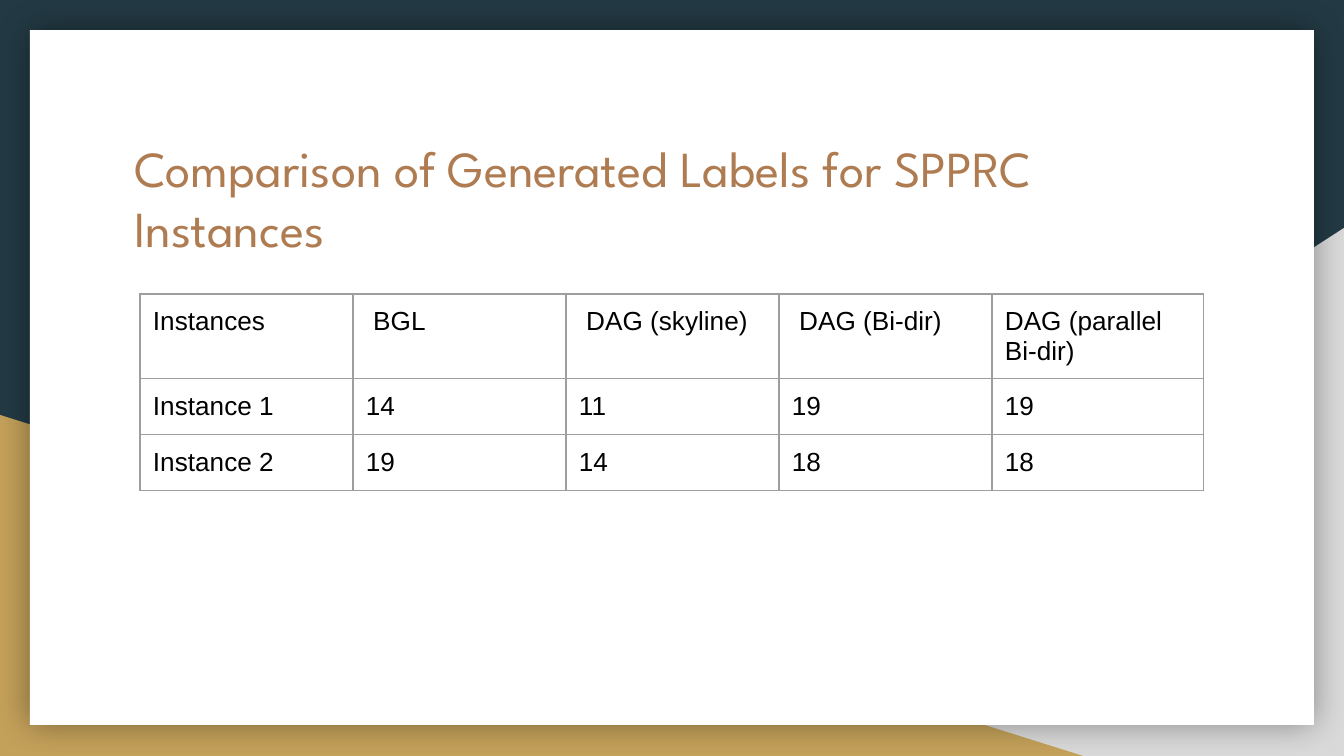
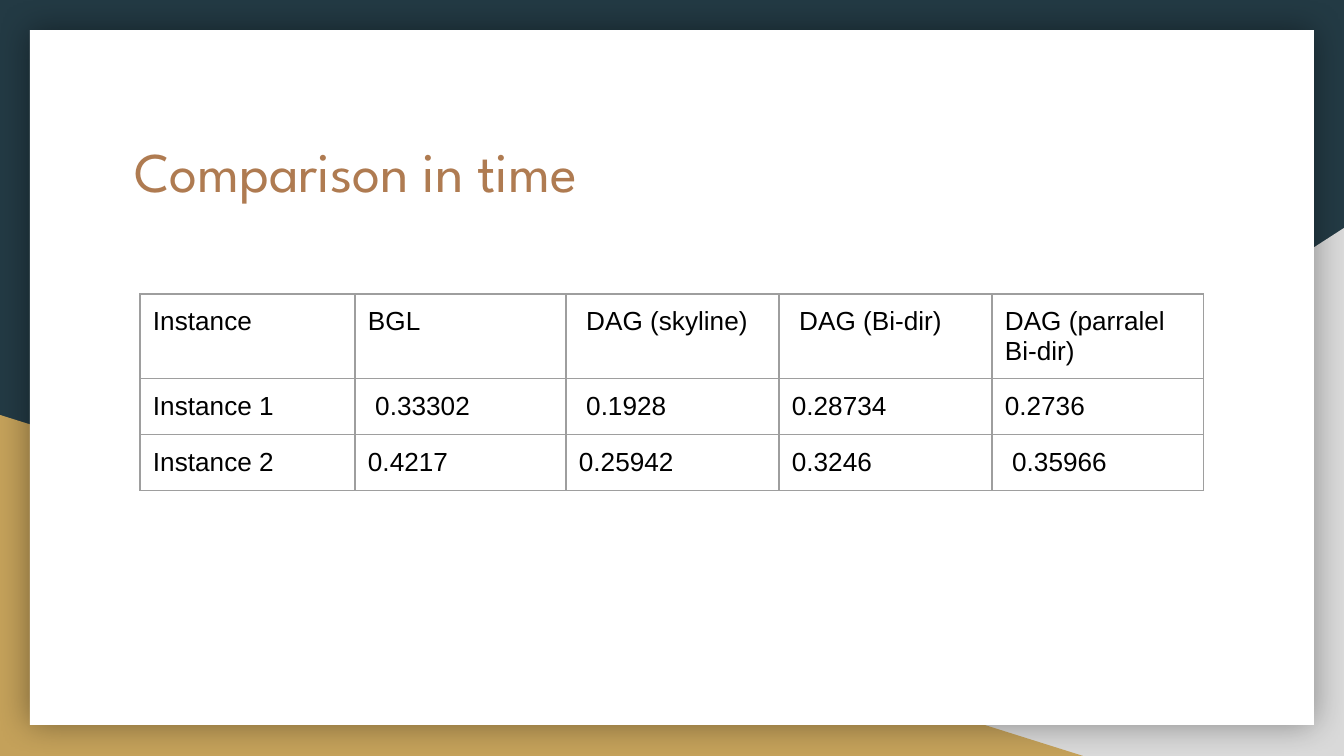
from lxml.etree import SubElement
from pptx import Presentation
from pptx.dml.color import RGBColor
from pptx.enum.shapes import MSO_SHAPE as Preset
from pptx.enum.text import MSO_ANCHOR as Anchor, MSO_AUTO_SIZE as AutoSize, PP_ALIGN as Align
from pptx.oxml import parse_xml
from pptx.oxml.ns import nsdecls, qn
from pptx.util import Emu, Pt

NAVY, GOLD, GREY, WHITE = "233A44", "C4A15A", "D9D9D9", "FFFFFF"
BROWN, BLACK, BORDER = "AF7B51", "000000", "9E9E9E"
SCALE = 914400 / 134.4
INSET = 13


def px(length):
    return Emu(round(length * SCALE))


def color(hex_string):
    return RGBColor.from_string(hex_string)


presentation = Presentation()
presentation.slide_width, presentation.slide_height = px(1344), px(756)
layout = presentation.slide_layouts[5]
layout.background.fill.solid()
layout.background.fill.fore_color.rgb = color(NAVY)

contents = [
    {
        "title": "Comparison of Generated Labels for SPPRC Instances",
        "size": 27,
        "columns": [213, 213, 213, 213, 212],
        "rows": [
            ["Instances", " BGL", " DAG (skyline)", " DAG (Bi-dir)", "DAG (parallel Bi-dir)"],
            ["Instance 1", "14", "11", "19", "19"],
            ["Instance 2", "19", "14", "18", "18"],
        ],
    },
    {
        "title": "Comparison in time",
        "size": 30,
        "columns": [215, 211, 213, 213, 212],
        "rows": [
            ["Instance", "BGL", " DAG (skyline)", " DAG (Bi-dir)", "DAG (parralel Bi-dir)"],
            ["Instance 1", " 0.33302", " 0.1928", "0.28734", "0.2736"],
            ["Instance 2", "0.4217", "0.25942", "0.3246", " 0.35966"],
        ],
    },
]
slides = [presentation.slides.add_slide(layout) for content in contents]

backdrop = [
    (Preset.RIGHT_TRIANGLE, 527, 228, 817, 528, GREY),
    (Preset.RIGHT_TRIANGLE, 0, 415, 1083, 341, GOLD),
    (Preset.RECTANGLE, 30, 30, 1284, 695, WHITE),
]
for index, (preset, left, top, width, height, fill) in enumerate(backdrop):
    shape = slides[0].shapes.add_shape(preset, px(left), px(top), px(width), px(height))
    shape.shadow.inherit = False
    shape.fill.solid()
    shape.fill.fore_color.rgb = color(fill)
    shape.line.fill.background()
    if fill == GREY:
        shape.element.spPr.find(qn("a:xfrm")).set("flipH", "1")
    if fill == WHITE:
        effects = shape.element.spPr.find(qn("a:effectLst"))
        shadow = SubElement(effects, qn("a:outerShdw"), blurRad=str(Pt(18)), dist="0",
                            dir="0", algn="ctr", rotWithShape="0")
        shade = SubElement(shadow, qn("a:srgbClr"), val=BLACK)
        SubElement(shade, qn("a:alpha"), val="40000")
    layout.shapes.element.insert(2 + index, shape.element)

title_box = {"left": px(121), "top": px(124), "width": px(1103), "height": px(140)}
margins = {"margin_" + side: px(INSET) for side in ("left", "right", "top", "bottom")}
title_frame = {"word_wrap": True, "auto_size": AutoSize.NONE, "vertical_anchor": Anchor.TOP, **margins}
cell_format = {"vertical_anchor": Anchor.TOP, **margins}

for slide, content in zip(slides, contents):
    title = slide.shapes.title
    for name, value in title_box.items():
        setattr(title, name, value)
    for name, value in title_frame.items():
        setattr(title.text_frame, name, value)
    title.text_frame.text = content["title"]
    paragraph = title.text_frame.paragraphs[0]
    paragraph.alignment = Align.LEFT
    font = paragraph.runs[0].font
    for name, value in {"name": "League Spartan", "size": Pt(content["size"]), "bold": False}.items():
        setattr(font, name, value)
    font.color.rgb = color(BROWN)

    rows, columns = content["rows"], content["columns"]
    table = slide.shapes.add_table(len(rows), len(columns), px(140), px(294),
                                   px(sum(columns)), px(56 * len(rows))).table
    table.first_row = table.horz_banding = False
    for column, width in zip(table.columns, columns):
        column.width = px(width)
    for row, texts in zip(table.rows, rows):
        row.height = px(56)
        for cell, text in zip(row.cells, texts):
            cell.text = text
            for name, value in cell_format.items():
                setattr(cell, name, value)
            cell.fill.background()
            font = cell.text_frame.paragraphs[0].runs[0].font
            for name, value in {"name": "Arial", "size": Pt(14), "bold": False}.items():
                setattr(font, name, value)
            font.color.rgb = color(BLACK)
            properties = cell._tc.get_or_add_tcPr()
            for index, side in enumerate("LRTB"):
                properties.insert(index, parse_xml(
                    f'<a:ln{side} {nsdecls("a")} w="{Pt(0.75)}"><a:solidFill>'
                    f'<a:srgbClr val="{BORDER}"/></a:solidFill></a:ln{side}>'))

presentation.save("out.pptx")
